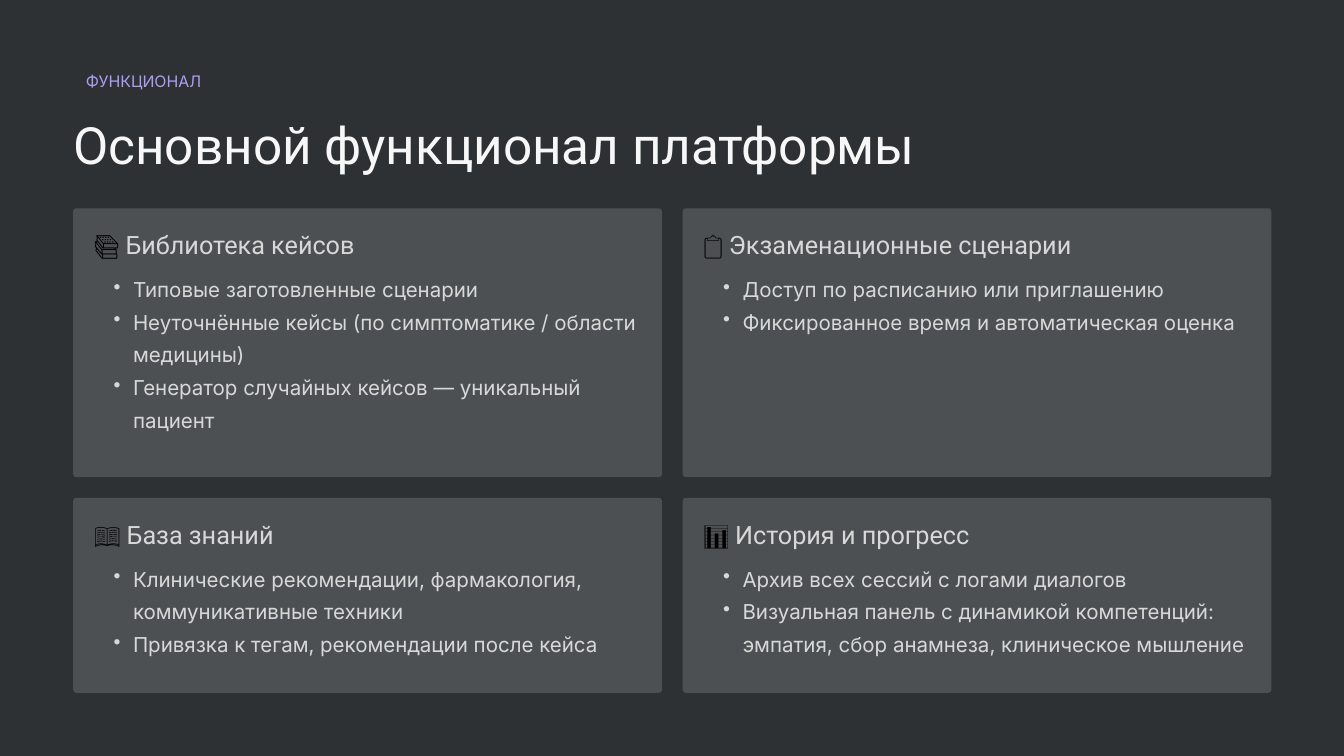
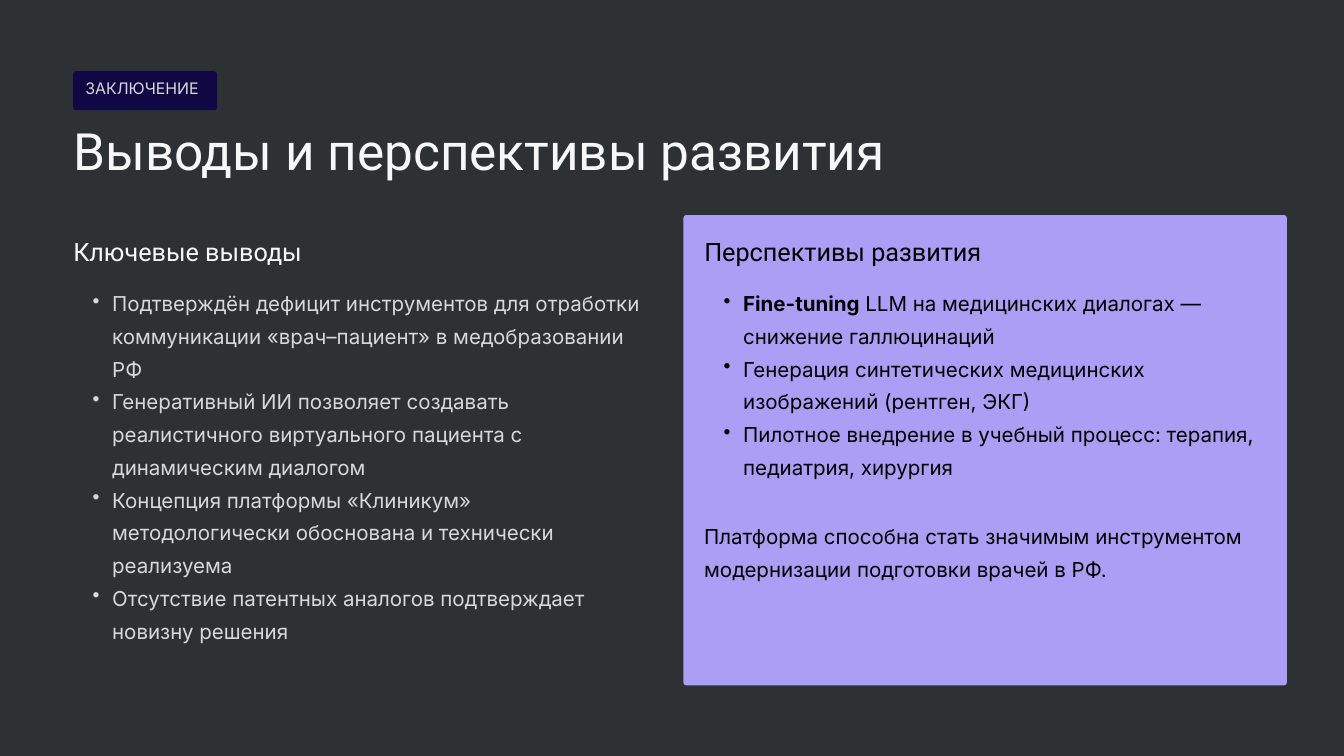
"""Build two dark slides: the platform's functions and the conclusions."""
from lxml import etree
from pptx import Presentation
from pptx.dml.color import RGBColor
from pptx.enum.shapes import MSO_SHAPE
from pptx.oxml.ns import qn
from pptx.util import Inches, Pt

ROUNDED = MSO_SHAPE.ROUNDED_RECTANGLE
colour = RGBColor.from_string

BACKGROUND, CARD, NAVY, LILAC = "2D3133", "4C5052", "110745", "AC9EF5"
WHITE, GREY, BLACK = "F7F7F8", "D6D9D7", "000000"

LABEL = ("Inter", 17, 27.1)
TITLE = ("Roboto", 55, 68.6)
HEADING = ("Roboto", 27, 33.7)
BODY = ("Inter", 22, 35.1)

WIDTH, HEIGHT = 20, 11.25
MARGIN, GAP, PAD = 1.09, 0.31, 0.31
CARD_WIDTH = 8.76
HEADING_DROP, LIST_DROP = 0.3, 0.9
RADIUS = 0.045
INDENT, HANGING = 0.58, 0.29


def add_panel(page, left, top, width, height, fill):
    """Draw a filled panel with slightly rounded corners."""
    panel = page.shapes.add_shape(
        ROUNDED, Inches(left), Inches(top), Inches(width), Inches(height))
    panel.adjustments[0] = RADIUS / min(width, height)
    panel.shadow.inherit = False
    panel.fill.solid()
    panel.fill.fore_color.rgb = colour(fill)
    panel.line.fill.background()


def add_text(page, left, top, width, height, style, paragraphs, bullets=False):
    """Write paragraphs, each a list of (text, colour, bold) spans."""
    font_name, size, spacing = style
    box = page.shapes.add_textbox(
        Inches(left), Inches(top), Inches(width), Inches(height))
    frame = box.text_frame
    frame.word_wrap = True
    frame.margin_left = frame.margin_right = 0
    frame.margin_top = frame.margin_bottom = 0
    for index, spans in enumerate(paragraphs):
        para = frame.add_paragraph() if index else frame.paragraphs[0]
        if bullets:
            para.level = 1
            properties = para._p.get_or_add_pPr()
            properties.set("marL", str(Inches(INDENT)))
            properties.set("indent", str(-Inches(HANGING)))
            etree.SubElement(properties, qn("a:buChar")).set("char", "•")
        para.line_spacing = Pt(spacing)
        for text, shade, bold in spans:
            span = para.add_run()
            span.text = text
            span.font.name = font_name
            span.font.size = Pt(size)
            span.font.bold = bold
            span.font.color.rgb = colour(shade)


deck = Presentation()
deck.slide_width, deck.slide_height = Inches(WIDTH), Inches(HEIGHT)

pages = []
for title, title_top, title_width in [
    ("Основной функционал платформы", 1.65, 14.24),
    ("Выводы и перспективы развития", 1.74, 13.62),
]:
    page = deck.slides.add_slide(deck.slide_layouts[6])
    page.background.fill.solid()
    page.background.fill.fore_color.rgb = colour(BACKGROUND)
    add_text(page, MARGIN, title_top, title_width, 0.99, TITLE,
             [[(title, WHITE, False)]])
    pages.append(page)
functions, conclusions = pages

add_text(functions, 1.28, 0.97, 2.8, 0.47, LABEL,
         [[("ФУНКЦИОНАЛ", LILAC, False)]])

card_rows = [
    (4, [
        ("📚", "Библиотека кейсов", 4.22, [
            "Типовые заготовленные сценарии",
            "Неуточнённые кейсы (по симптоматике / области медицины)",
            "Генератор случайных кейсов — уникальный пациент",
        ]),
        ("📋", "Экзаменационные сценарии", 6.05, [
            "Доступ по расписанию или приглашению",
            "Фиксированное время и автоматическая оценка",
        ]),
    ]),
    (2.9, [
        ("📖", "База знаний", 3.88, [
            "Клинические рекомендации, фармакология, коммуникативные техники",
            "Привязка к тегам, рекомендации после кейса",
        ]),
        ("📊", "История и прогресс", 4.32, [
            "Архив всех сессий с логами диалогов",
            "Визуальная панель с динамикой компетенций: "
            "эмпатия, сбор анамнеза, клиническое мышление",
        ]),
    ]),
]
top = 3.1
for card_height, cards in card_rows:
    for column, (icon, heading, heading_width, items) in enumerate(cards):
        left = MARGIN + column * (CARD_WIDTH + GAP)
        add_panel(functions, left, top, CARD_WIDTH, card_height, CARD)
        add_text(functions, left + PAD, top + HEADING_DROP, heading_width, 0.51,
                 HEADING, [[(icon, BLACK, False), (" " + heading, GREY, False)]])
        add_text(functions, left + PAD, top + LIST_DROP, CARD_WIDTH - 2 * PAD,
                 card_height - LIST_DROP - PAD, BODY,
                 [[(item, GREY, False)] for item in items], bullets=True)
    top += card_height + GAP

add_panel(conclusions, MARGIN, 1.06, 2.14, 0.58, NAVY)
add_text(conclusions, 1.27, 1.08, 2.77, 0.47, LABEL,
         [[("ЗАКЛЮЧЕНИЕ", GREY, False)]])

PANEL_LEFT, PANEL_TOP, PANEL_WIDTH, PANEL_HEIGHT = 10.17, 3.2, 8.98, 7
add_panel(conclusions, PANEL_LEFT, PANEL_TOP, PANEL_WIDTH, PANEL_HEIGHT, LILAC)

findings = [
    "Подтверждён дефицит инструментов для отработки коммуникации "
    "«врач–пациент» в медобразовании РФ",
    "Генеративный ИИ позволяет создавать реалистичного виртуального "
    "пациента с динамическим диалогом",
    "Концепция платформы «Клиникум» методологически обоснована "
    "и технически реализуема",
    "Отсутствие патентных аналогов подтверждает новизну решения",
]
prospects = [
    [("Fine-tuning", BLACK, True),
     (" LLM на медицинских диалогах — снижение галлюцинаций", BLACK, False)],
    [("Генерация синтетических медицинских изображений (рентген, ЭКГ)",
      BLACK, False)],
    [("Пилотное внедрение в учебный процесс: терапия, педиатрия, хирургия",
      BLACK, False)],
]
inner_left, inner_width = PANEL_LEFT + PAD, PANEL_WIDTH - 2 * PAD
for left, heading, heading_width, shade, width, height, items in [
    (MARGIN, "Ключевые выводы", 4.88, WHITE, 8.54, 5.88,
     [[(finding, GREY, False)] for finding in findings]),
    (inner_left, "Перспективы развития", 5.38, BLACK, inner_width, 3.29, prospects),
]:
    add_text(conclusions, left, PANEL_TOP + HEADING_DROP, heading_width, 0.49,
             HEADING, [[(heading, shade, False)]])
    add_text(conclusions, left, 4.21, width, height, BODY, items, bullets=True)

add_text(conclusions, inner_left, 7.68, inner_width, 1.09, BODY,
         [[("Платформа способна стать значимым инструментом "
            "модернизации подготовки врачей в РФ.", BLACK, False)]])

deck.save("out.pptx")
